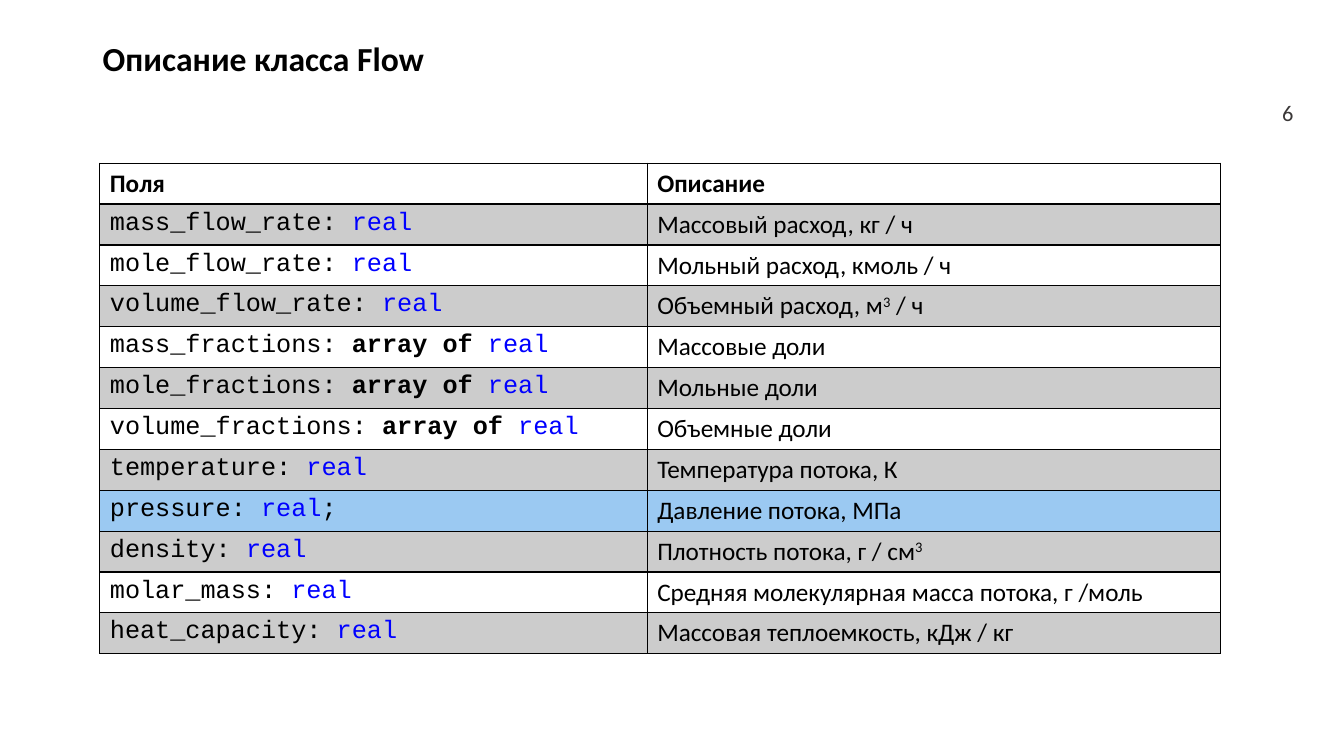
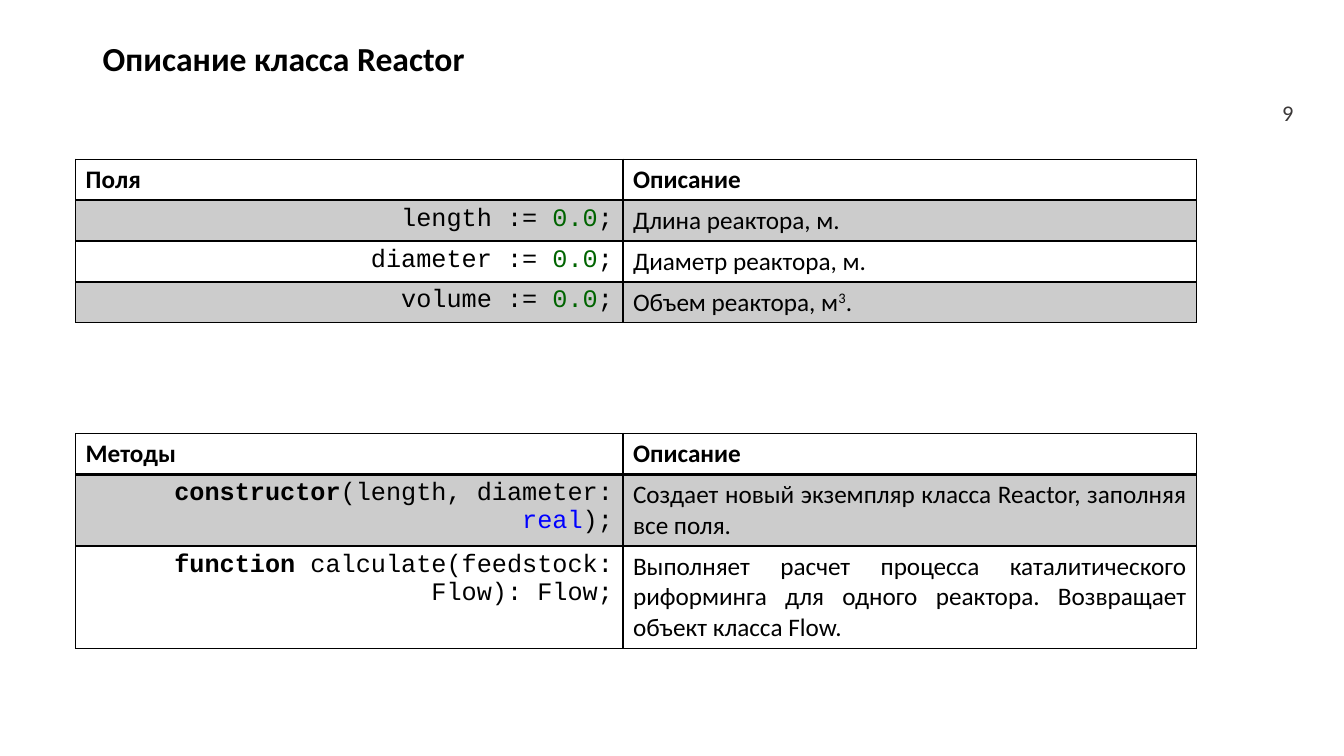
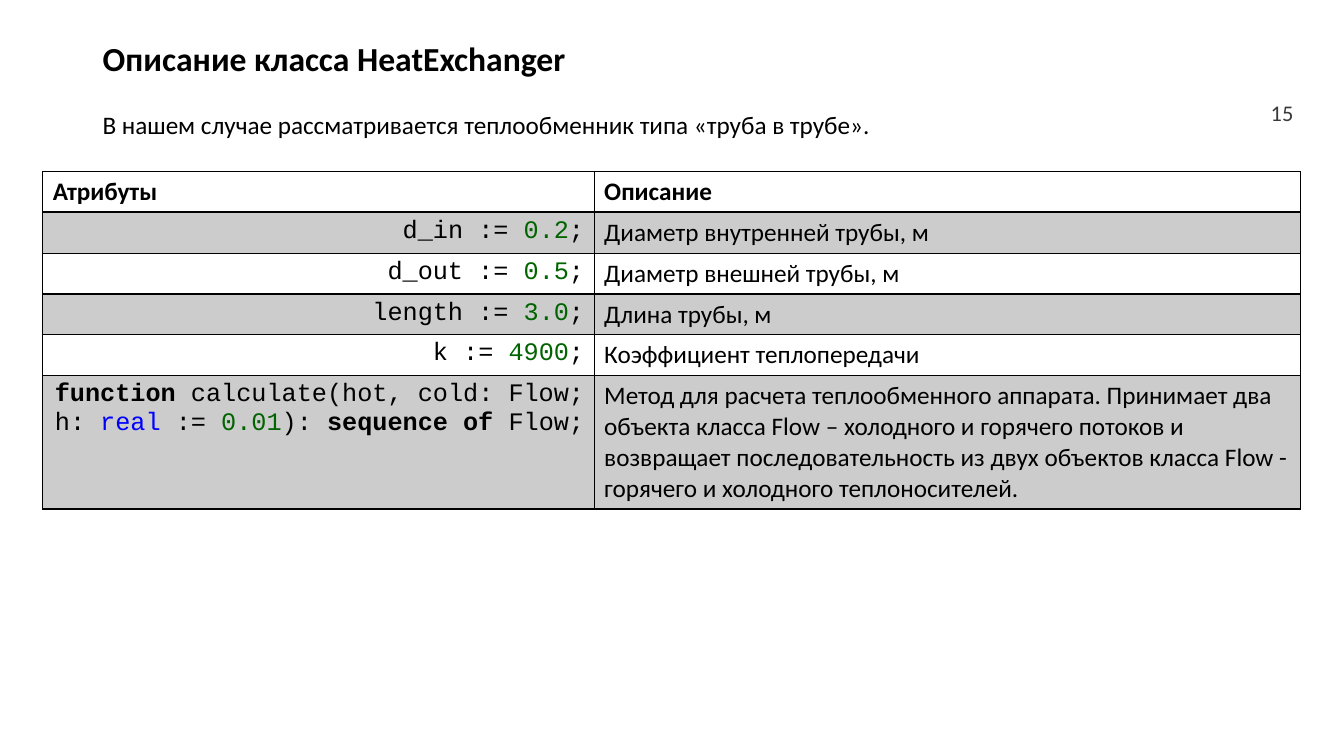
from collections import namedtuple

from lxml import etree
from pptx import Presentation
from pptx.dml.color import RGBColor
from pptx.enum import text
from pptx.oxml import ns
from pptx.util import Pt

BLACK = RGBColor(0x00, 0x00, 0x00)
BAND_GREY = RGBColor(0xCC, 0xCC, 0xCC)
HIGHLIGHT_BLUE = RGBColor(0x9B, 0xC9, 0xF2)
TYPE_BLUE = RGBColor(0x00, 0x00, 0xFF)
NUMBER_GREEN = RGBColor(0x00, 0x64, 0x00)
PAGE_GREY = RGBColor(0x3B, 0x38, 0x38)

BODY_FONT = "Calibri"
CODE_FONT = "Courier New"
KEYWORDS = {"array of", "sequence of", "function", "constructor"}
LINE_HEIGHT = 22
CELL_PADDING = 7.2

LEFT = text.PP_ALIGN.LEFT
RIGHT = text.PP_ALIGN.RIGHT
JUSTIFY = text.PP_ALIGN.JUSTIFY

Box = namedtuple("Box", "left top width height")
Row = namedtuple("Row", "code description lines fill", defaults=(1, None))

TITLE_BOX = Box(66.2, 12.2, 776.2, 62.6)
PAGE_BOX = Box(894.2, 66.2, 36.7, 28.8)
NOTE_BOX = Box(66.2, 74.9, 564.5, 29.2)

BODY = {"name": BODY_FONT, "size": Pt(18), "bold": False}
HEADER = {**BODY, "bold": True}
TITLE = {**HEADER, "size": Pt(24)}
PAGE = {**BODY, "size": Pt(16)}
CODE = {**BODY, "name": CODE_FONT}

FLOW_FIELDS = [
    Row("mass_flow_rate: |real", "Массовый расход, кг / ч"),
    Row("mole_flow_rate: |real", "Мольный расход, кмоль / ч"),
    Row("volume_flow_rate: |real", "Объемный расход, м|3| / ч"),
    Row("mass_fractions: |array of |real", "Массовые доли"),
    Row("mole_fractions: |array of |real", "Мольные доли"),
    Row("volume_fractions: |array of |real", "Объемные доли"),
    Row("temperature: |real", "Температура потока, К"),
    Row("pressure: |real|;", "Давление потока, МПа", fill=HIGHLIGHT_BLUE),
    Row("density: |real", "Плотность потока, г / см|3"),
    Row("molar_mass: |real", "Средняя молекулярная масса потока, г /моль"),
    Row("heat_capacity: |real", "Массовая теплоемкость, кДж / кг"),
]
REACTOR_FIELDS = [
    Row("length := |0.0|;", "Длина реактора, м."),
    Row("diameter := |0.0|;", "Диаметр реактора, м."),
    Row("volume := |0.0|;", "Объем реактора, м|3|."),
]
REACTOR_METHODS = [
    Row("constructor|(length, diameter: |real|);",
        "Создает новый экземпляр класса Reactor, заполняя все поля.", 2),
    Row("function |calculate(feedstock: Flow): Flow;",
        "Выполняет расчет процесса каталитического риформинга для одного "
        "реактора. Возвращает объект класса Flow.", 3),
]
EXCHANGER_ATTRIBUTES = [
    Row("d_in := |0.2|;", "Диаметр внутренней трубы, м"),
    Row("d_out := |0.5|;", "Диаметр внешней трубы, м"),
    Row("length := |3.0|;", "Длина трубы, м"),
    Row("k := |4900|;", "Коэффициент теплопередачи"),
    Row("function |calculate(hot, cold: Flow; h: |real |:= |0.01|): |sequence of |Flow;",
        "Метод для расчета теплообменного аппарата. Принимает два объекта "
        "класса Flow – холодного и горячего потоков и возвращает "
        "последовательность из двух объектов класса Flow - горячего и "
        "холодного теплоносителей.", 4),
]


def set_format(target, values):
    for name, value in values.items():
        setattr(target, name, value)


def add_run(paragraph, content, font_values, color=BLACK):
    run = paragraph.add_run()
    run.text = content
    set_format(run.font, font_values)
    run.font.color.rgb = color
    return run


def write_code(paragraph, content):
    for token in content.split("|"):
        word = token.strip()
        color = BLACK
        if word == "real":
            color = TYPE_BLUE
        elif word.replace(".", "").isdigit():
            color = NUMBER_GREEN
        add_run(paragraph, token, {**CODE, "bold": word in KEYWORDS}, color)


def write_description(paragraph, content):
    for token in content.split("|"):
        run = add_run(paragraph, token, BODY)
        if token.isdigit():
            run.font._element.set("baseline", "30000")


def write_header(paragraph, content):
    add_run(paragraph, content, HEADER)


def set_borders(cell, top, bottom):
    properties = cell._tc.get_or_add_tcPr()
    for side, width in (("L", 1), ("R", 1), ("T", top), ("B", bottom)):
        line = etree.SubElement(properties, ns.qn(f"a:ln{side}"), w=str(Pt(width)))
        fill = etree.SubElement(line, ns.qn("a:solidFill"))
        etree.SubElement(fill, ns.qn("a:srgbClr"), val=str(BLACK))


def add_class_table(slide, left, top, widths, heading, rows, code_align=LEFT,
                    description_align=LEFT):
    all_rows = [Row(heading, "Описание"), *rows]
    heights = [row.lines * LINE_HEIGHT + CELL_PADDING for row in all_rows]
    frame = slide.shapes.add_table(len(all_rows), len(widths), Pt(left), Pt(top),
                                   Pt(sum(widths)), Pt(sum(heights)))
    table = frame.table
    set_format(table, {"first_row": False, "horz_banding": False})
    for column, width in zip(table.columns, widths):
        column.width = Pt(width)
    for index, (row, height) in enumerate(zip(all_rows, heights)):
        table.rows[index].height = Pt(height)
        is_header = index == 0
        writers = (write_header, write_header) if is_header else (write_code, write_description)
        aligns = (LEFT, LEFT) if is_header else (code_align, description_align)
        fill = row.fill or (BAND_GREY if index % 2 else None)
        contents = (row.code, row.description)
        for cell, content, write, align in zip(table.rows[index].cells, contents, writers, aligns):
            set_borders(cell, 2 if index == 1 else 1, 2 if is_header else 1)
            if fill:
                cell.fill.solid()
                cell.fill.fore_color.rgb = fill
            else:
                cell.fill.background()
            paragraph = cell.text_frame.paragraphs[0]
            paragraph.alignment = align
            write(paragraph, content)


def add_text(slide, box, content, font_values, color=BLACK, align=LEFT, **frame_values):
    shape = slide.shapes.add_textbox(*map(Pt, box))
    set_format(shape.text_frame, frame_values)
    paragraph = shape.text_frame.paragraphs[0]
    paragraph.alignment = align
    add_run(paragraph, content, font_values, color)


def add_class_slide(presentation, class_name, page):
    slide = presentation.slides.add_slide(presentation.slide_layouts[5])
    title = slide.shapes.title
    set_format(title, {name: Pt(value) for name, value in TITLE_BOX._asdict().items()})
    set_format(title.text_frame, {"vertical_anchor": text.MSO_ANCHOR.MIDDLE,
                                  "auto_size": text.MSO_AUTO_SIZE.NONE})
    paragraph = title.text_frame.paragraphs[0]
    set_format(paragraph, {"alignment": LEFT, "line_spacing": 0.9})
    add_run(paragraph, f"Описание класса {class_name}", TITLE)
    add_text(slide, PAGE_BOX, str(page), PAGE, PAGE_GREY, RIGHT,
             word_wrap=True, vertical_anchor=text.MSO_ANCHOR.MIDDLE)
    return slide


def main():
    presentation = Presentation()
    set_format(presentation, {"slide_width": Pt(960), "slide_height": Pt(540)})
    widths = (391, 409.7)

    flow = add_class_slide(presentation, "Flow", 6)
    add_class_table(flow, 71.3, 116.6, widths, "Поля", FLOW_FIELDS)

    reactor = add_class_slide(presentation, "Reactor", 9)
    for top, heading, rows in ((309.6, "Методы", REACTOR_METHODS),
                               (113.8, "Поля", REACTOR_FIELDS)):
        add_class_table(reactor, 54, top, widths, heading, rows, RIGHT, JUSTIFY)

    exchanger = add_class_slide(presentation, "HeatExchanger", 15)
    add_class_table(exchanger, 30.6, 122.4, (393.8, 504.8), "Атрибуты",
                    EXCHANGER_ATTRIBUTES, RIGHT)
    add_text(exchanger, NOTE_BOX,
             "В нашем случае рассматривается теплообменник типа «труба в трубе».",
             BODY, word_wrap=False, auto_size=text.MSO_AUTO_SIZE.SHAPE_TO_FIT_TEXT)

    presentation.save("out.pptx")


if __name__ == "__main__":
    main()
